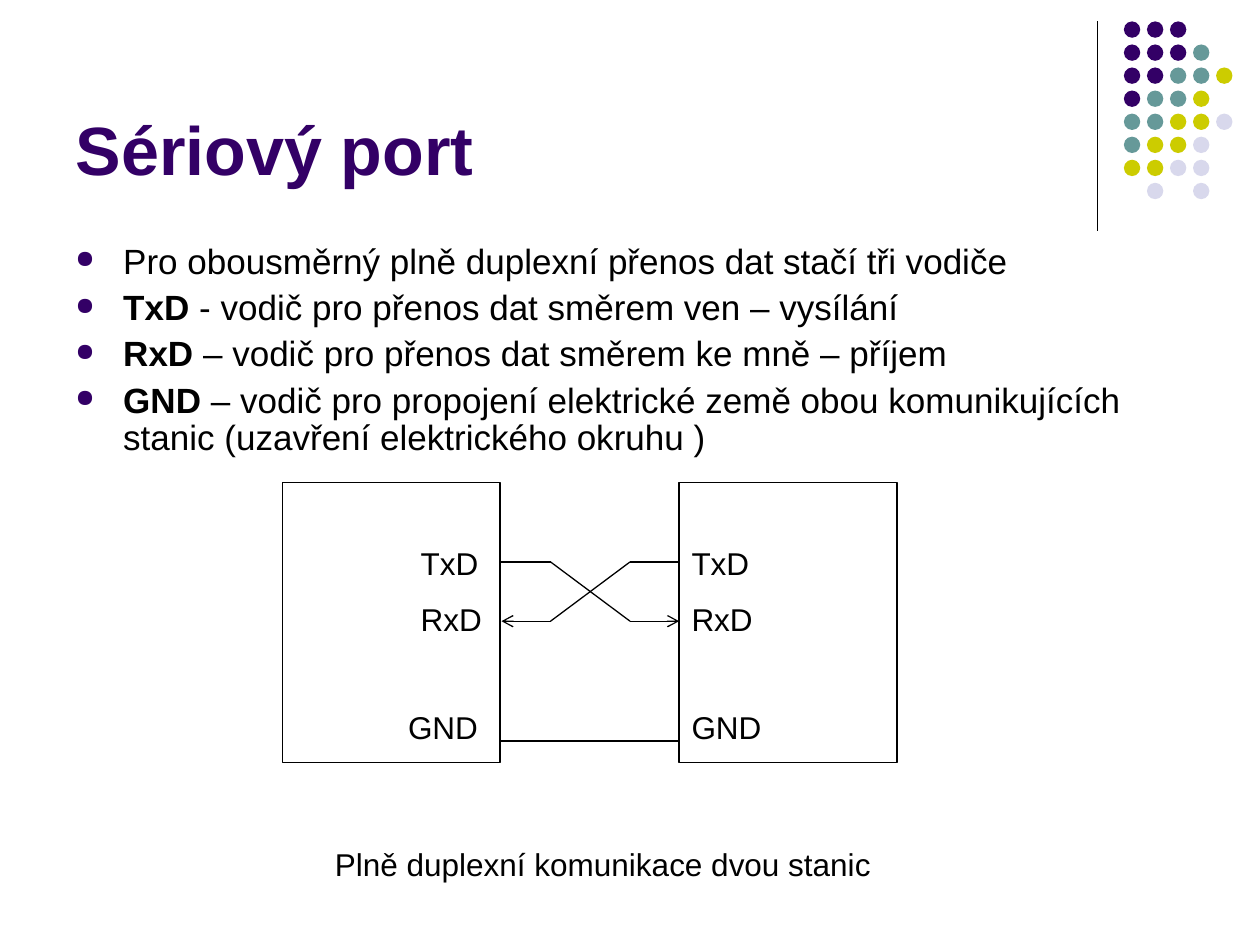
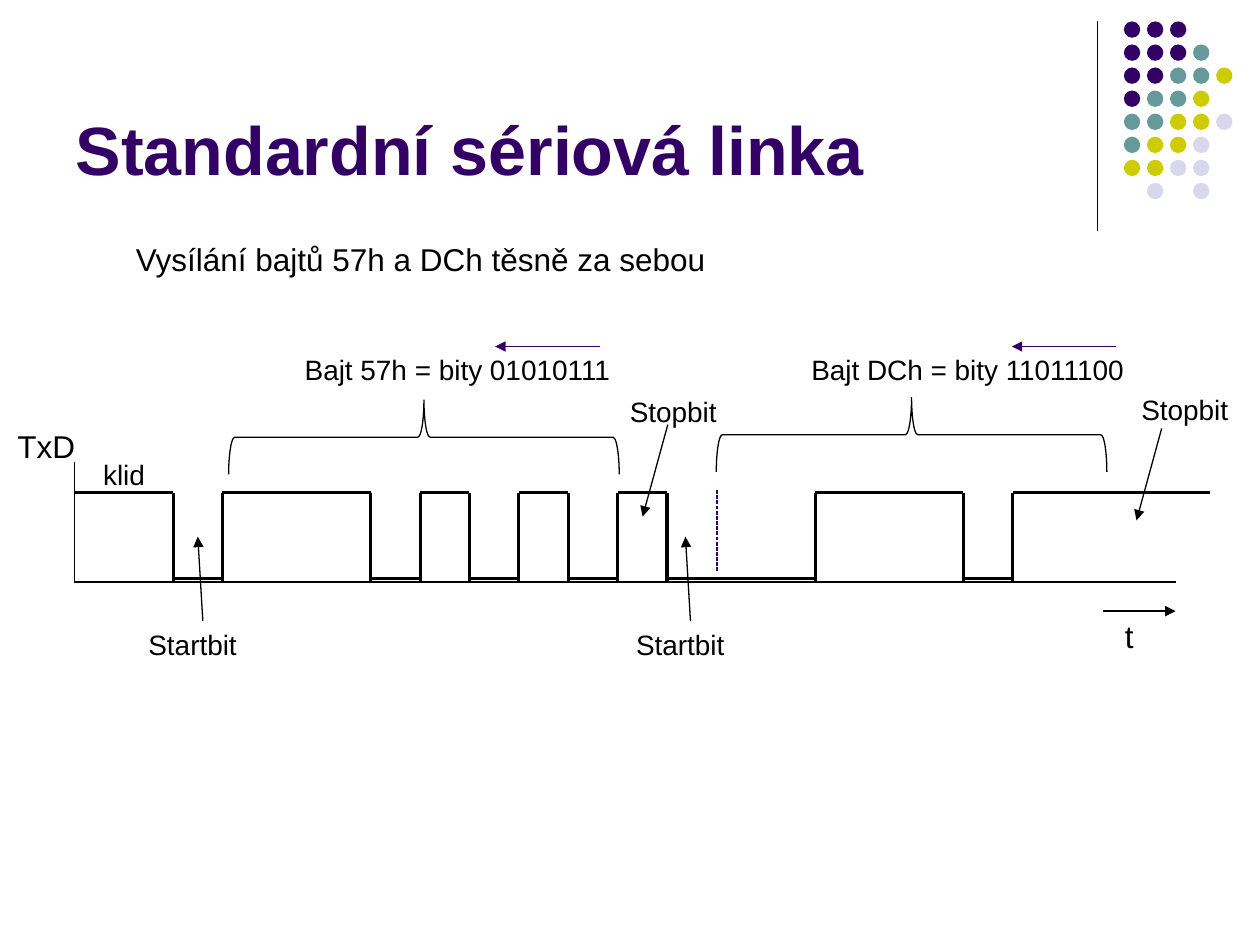
"""Build two slides about the serial port and its signal."""
import lxml.etree
import pptx
import pptx.dml.color
import pptx.enum.dml
import pptx.enum.shapes
import pptx.enum.text
import pptx.oxml.ns
import pptx.util

Inches = pptx.util.Inches
Pt = pptx.util.Pt
qn = pptx.oxml.ns.qn
KINDS = pptx.enum.shapes.MSO_SHAPE

FONT = "Arial"
COLORS = {
    "ink": "000000",
    "plum": "330066",
    "teal": "669999",
    "lime": "CCCC00",
    "mist": "D8D8EC",
}
DOTS = ["ppp", "pppt", "ppttl", "pttl", "ttllm", "tllm", "llmm", " m m"]
DOT_HUES = {"p": "plum", "t": "teal", "l": "lime", "m": "mist"}
POINTS = [
    ("", "Pro obousměrný plně duplexní přenos dat stačí tři vodiče"),
    ("TxD", " - vodič pro přenos dat směrem ven – vysílání"),
    ("RxD", " – vodič pro přenos dat směrem ke mně – příjem"),
    ("GND", " – vodič pro propojení elektrické země obou komunikujících "
            "stanic (uzavření elektrického okruhu )"),
]
IDLE, START, STOP = "1", "0", "1"
BYTES = ["01010111", "11011100"]


def color(name):
    return pptx.dml.color.RGBColor.from_string(COLORS[name])


def style(run, size, hue="ink", bold=False):
    run.font.name = FONT
    run.font.size = Pt(size)
    run.font.bold = bold
    run.font.color.rgb = color(hue)


def add_line(slide, start, end, width=0.75, hue="ink", tip=None, dash=None):
    ends = [Inches(v) for v in (*start, *end)]
    line = slide.shapes.add_connector(
        pptx.enum.shapes.MSO_CONNECTOR.STRAIGHT, *ends)
    line.line.color.rgb = color(hue)
    line.line.width = Pt(width)
    if dash:
        line.line.dash_style = dash
    props = line._element.spPr
    if tip:
        lxml.etree.SubElement(props.find(qn("a:ln")), qn("a:tailEnd"), type=tip)
    lxml.etree.SubElement(props, qn("a:effectLst"))


def add_shape(slide, kind, left, top, width, height, fill=None):
    shape = slide.shapes.add_shape(
        kind, Inches(left), Inches(top), Inches(width), Inches(height))
    shape.shadow.inherit = False
    if fill:
        shape.fill.solid()
        shape.fill.fore_color.rgb = color(fill)
        shape.line.fill.background()
    else:
        shape.fill.background()
        shape.line.color.rgb = color("ink")
        shape.line.width = Pt(0.75)
    return shape


def add_box(slide, left, top, width, height):
    box = slide.shapes.add_textbox(
        Inches(left), Inches(top), Inches(width), Inches(height))
    box.text_frame.word_wrap = True
    return box.text_frame


def add_label(slide, text, left, top, width, size=16):
    frame = add_box(slide, left, top, width, 0.4)
    frame.text = text
    style(frame.paragraphs[0].runs[0], size)


def add_dots(slide):
    step = 0.183
    for row, marks in enumerate(DOTS):
        for col, mark in enumerate(marks):
            if mark in DOT_HUES:
                add_shape(slide, KINDS.OVAL, 8.92 + col * step,
                          0.17 + row * step, 0.13, 0.13, DOT_HUES[mark])


def add_slide(deck, text):
    slide = deck.slides.add_slide(deck.slide_layouts[5])
    add_line(slide, (8.71, 0.17), (8.71, 1.83))
    add_dots(slide)
    title = slide.shapes.title
    title.left, title.top = Inches(0.5), Inches(0.13)
    title.width, title.height = Inches(8.25), Inches(1.42)
    frame = title.text_frame
    frame.text = text
    frame.auto_size = pptx.enum.text.MSO_AUTO_SIZE.NONE
    frame.vertical_anchor = pptx.enum.text.MSO_ANCHOR.BOTTOM
    frame.paragraphs[0].alignment = pptx.enum.text.PP_ALIGN.LEFT
    style(frame.paragraphs[0].runs[0], 39, "plum", True)
    return slide


def set_bullet(para):
    props = para._p.get_or_add_pPr()
    props.set("marL", str(Inches(0.38)))
    props.set("indent", str(-Inches(0.38)))
    hue = lxml.etree.SubElement(props, qn("a:buClr"))
    lxml.etree.SubElement(hue, qn("a:srgbClr"), val=COLORS["plum"])
    lxml.etree.SubElement(props, qn("a:buSzPct"), val="70000")
    lxml.etree.SubElement(props, qn("a:buChar"), char="●")


def add_points(slide):
    frame = add_box(slide, 0.5, 1.89, 9, 1.8)
    for index, point in enumerate(POINTS):
        para = frame.add_paragraph() if index else frame.paragraphs[0]
        para.line_spacing = 0.9
        para.space_before = Pt(4.8 if index else 0)
        set_bullet(para)
        for text, bold in zip(point, (True, False)):
            if text:
                run = para.add_run()
                run.text = text
                style(run, 20, bold=bold)


def add_station(slide, left, indents):
    frame = add_shape(slide, KINDS.RECTANGLE, left, 3.83, 1.73, 2.22).text_frame
    frame.vertical_anchor = pptx.enum.text.MSO_ANCHOR.TOP
    frame.margin_top = Inches(0.49)
    frame.text = "TxD\nRxD\nGND"
    for para, gap, indent in zip(frame.paragraphs, (0, 10.2, 40.4), indents):
        para.alignment = pptx.enum.text.PP_ALIGN.LEFT
        para.space_before = Pt(gap)
        para._p.get_or_add_pPr().set("marL", str(Inches(indent)))
        style(para.runs[0], 18)


def add_wires(slide):
    left, right, send, take = 3.98, 5.39, 4.46, 4.93
    add_line(slide, (left, 5.88), (right, 5.88))
    for near, bend, turn, far in ((left, 4.37, 5, right), (right, 5, 4.37, left)):
        add_line(slide, (near, send), (bend, send))
        add_line(slide, (bend, send), (turn, take))
        add_line(slide, (turn, take), (far, take), tip="arrow")


def add_wave(slide):
    left, step, high, low, base = 0.59, 0.392, 3.91, 4.59, 4.62
    frames = "".join(START + bits[::-1] + STOP for bits in BYTES)
    levels = IDLE * 2 + frames + IDLE
    add_line(slide, (left, 3.67), (left, base))
    add_line(slide, (left, base), (9.33, base))
    for index, level in enumerate(levels):
        x = left + index * step
        y = high if level == "1" else low
        add_line(slide, (x, y), (x + step, y), 1.75)
        if index and level != levels[index - 1]:
            add_line(slide, (x, high), (x, base), 1.75)


def add_byte(slide, text, left, width, arrow, brace, top):
    add_label(slide, text, left, 2.75, width)
    add_line(slide, (arrow + 0.83, 2.75), (arrow, 2.75), hue="plum",
             tip="triangle")
    add_shape(slide, KINDS.RIGHT_BRACE, brace, top, 0.59, 3.1).rotation = 270


def add_callout(slide, text, left, top, start, end):
    add_label(slide, text, left, top, 1.06)
    add_line(slide, start, end, tip="triangle")


def build_port(deck):
    slide = add_slide(deck, "Sériový port")
    add_points(slide)
    add_station(slide, 2.24, (1, 1, 0.9))
    add_station(slide, 5.39, (0, 0, 0))
    add_wires(slide)
    add_label(slide, "Plně duplexní komunikace dvou stanic", 2.56, 6.66, 4.65, 18)


def build_link(deck):
    slide = add_slide(deck, "Standardní sériová linka")
    add_wave(slide)
    add_line(slide, (8.75, 4.85), (9.33, 4.85), tip="triangle")
    add_line(slide, (5.69, 3.89), (5.69, 4.53), hue="plum",
             dash=pptx.enum.dml.MSO_LINE.SQUARE_DOT)
    add_label(slide, "Vysílání bajtů 57h a DCh těsně za sebou", 0.98, 1.86, 4.8, 18)
    add_label(slide, "t", 8.83, 4.85, 0.58, 18)
    add_label(slide, "TxD", 0.04, 3.34, 0.88, 18)
    add_label(slide, "klid", 0.72, 3.58, 0.63)
    add_byte(slide, "Bajt 57h = bity " + BYTES[0], 2.32, 2.63, 3.93, 3.07, 1.92)
    add_byte(slide, "Bajt DCh = bity " + BYTES[1], 6.34, 2.99, 8.03, 6.94, 1.9)
    for left in (1.08, 4.95):
        add_callout(slide, "Startbit", left, 4.93,
                    (left + 0.53, 4.93), (left + 0.49, 4.26))
    add_callout(slide, "Stopbit", 4.9, 3.08, (5.3, 3.37), (5.1, 4.1))
    add_callout(slide, "Stopbit", 8.96, 3.07, (9.22, 3.4), (9.02, 4.13))


def main():
    deck = pptx.Presentation()
    deck.slide_width, deck.slide_height = Inches(10), Inches(7.5)
    build_port(deck)
    build_link(deck)
    deck.save("out.pptx")


if __name__ == "__main__":
    main()
